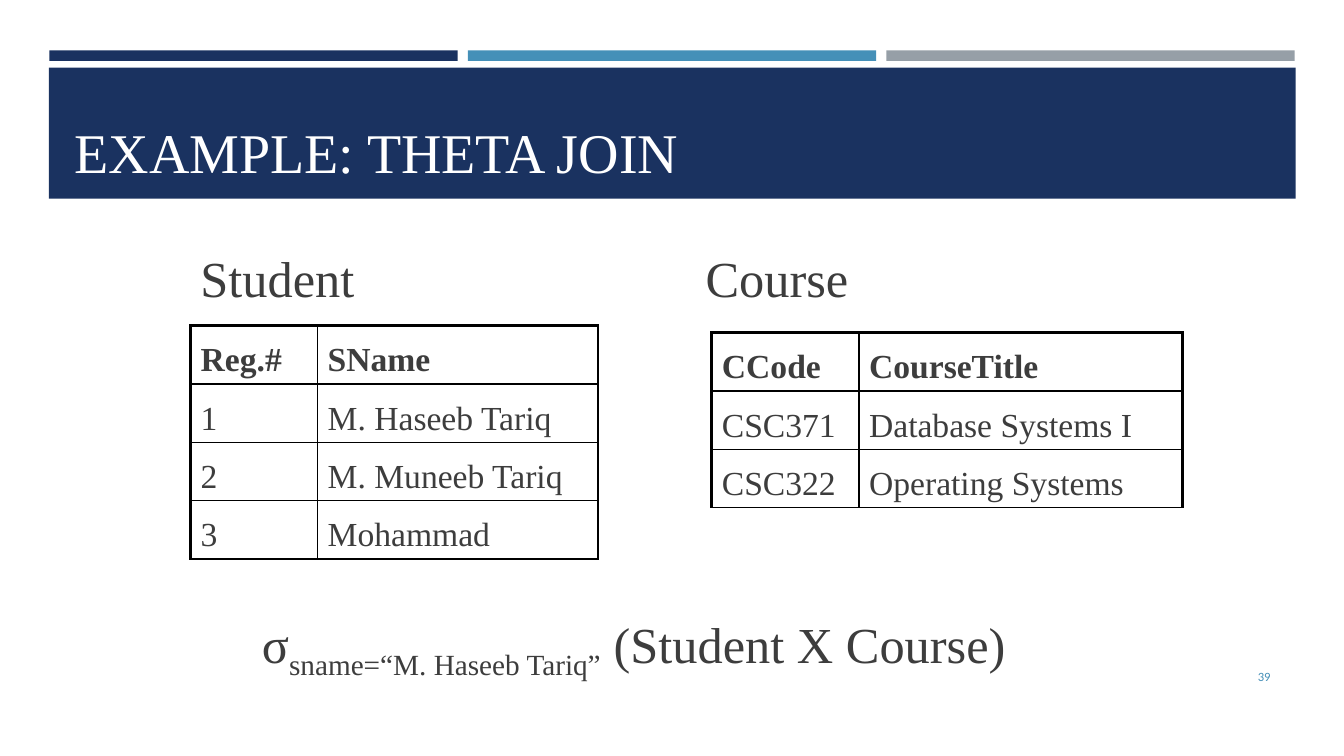
"""Build the theta join example slide."""
from dataclasses import dataclass

from lxml.etree import SubElement
from pptx import Presentation
from pptx.dml.color import RGBColor
from pptx.enum.shapes import MSO_SHAPE as Shape
from pptx.enum.text import MSO_ANCHOR as Anchor
from pptx.enum.text import MSO_AUTO_SIZE as AutoSize
from pptx.enum.text import PP_ALIGN as Align
from pptx.oxml.ns import qn
from pptx.slide import Slide
from pptx.table import _Cell as Cell
from pptx.text.text import TextFrame, _Paragraph as Paragraph
from pptx.util import Inches, Pt

NAVY = RGBColor(0x1A, 0x32, 0x60)
BLUE = RGBColor(0x45, 0x90, 0xB8)
GREY = RGBColor(0x96, 0x9F, 0xA7)
INK = RGBColor(0x3D, 0x3D, 0x3D)
BLACK = RGBColor(0, 0, 0)
WHITE = RGBColor(0xFF, 0xFF, 0xFF)
SERIF = "Times New Roman"
SANS = "Calibri"
UNIT = Inches(0.1)
THIN, THICK = 1, 2.25
ROW_HEIGHT = 5.7


@dataclass(frozen=True)
class Area:
    """A rectangle in grid columns and rows."""
    column: float
    row: float
    columns: float
    rows: float

    def lengths(self) -> list[int]:
        """Return left, top, width and height."""
        return [round(UNIT * part) for part in (self.column, self.row, self.columns, self.rows)]


@dataclass(frozen=True)
class Span:
    """A stretch of text in one format."""
    text: str
    size: float = 36
    color: RGBColor = INK
    font: str = SERIF
    bold: bool = False
    baseline: int = 0


@dataclass(frozen=True)
class Bar:
    """A filled rectangle."""
    area: Area
    color: RGBColor


@dataclass(frozen=True)
class Label:
    """A text box with one paragraph."""
    area: Area
    spans: tuple[Span, ...]
    align: Align = Align.LEFT
    anchor: Anchor = Anchor.TOP


@dataclass(frozen=True)
class Relation:
    """A database relation shown as a table."""
    column: float
    row: float
    widths: tuple[float, ...]
    records: tuple[tuple[str, ...], ...]


BARS = [Bar(Area(4.9 + 41.5 * index, 5, 40.5, 1.05), color)
        for index, color in enumerate((NAVY, BLUE, GREY))]
BARS.append(Bar(Area(4.85, 6.7, 123.65, 13), NAVY))

RELATIONS = (
    Relation(70.6, 33, (14.6, 32.1), (
        ("CCode", "CourseTitle"),
        ("CSC371", "Database Systems I"),
        ("CSC322", "Operating Systems"))),
    Relation(18.9, 32.3, (12.6, 27.8), (
        ("Reg.#", "SName"),
        ("1", "M. Haseeb Tariq"),
        ("2", "M. Muneeb Tariq"),
        ("3", "Mohammad"))),
)

LABELS = (
    Label(Area(18.9, 24, 22.7, 7.1), (Span("Student"),)),
    Label(Area(69, 24, 22.7, 7.1), (Span("Course"),)),
    Label(Area(25, 60.3, 88, 7.1), (
        Span("σ"),
        Span("sname=“M. Haseeb Tariq”", baseline=-25000),
        Span(" (Student X Course)"))),
    Label(Area(115.5, 65.1, 11.5, 4), (Span("39", 9, BLUE, SANS),), Align.RIGHT, Anchor.MIDDLE),
)


def add_span(para: Paragraph, span: Span) -> None:
    """Append one formatted run."""
    run = para.add_run()
    run.text = span.text
    run.font.size = Pt(span.size)
    run.font.name = span.font
    run.font.bold = span.bold
    run.font.color.rgb = span.color
    if span.baseline:
        run.font._element.set("baseline", str(span.baseline))


def set_frame(frame: TextFrame, anchor: Anchor) -> None:
    """Wrap the text and fix its size and anchor."""
    frame.word_wrap = True
    frame.auto_size = AutoSize.NONE
    frame.vertical_anchor = anchor


def add_bar(page: Slide, bar: Bar) -> None:
    """Draw a plain rectangle."""
    box = page.shapes.add_shape(Shape.RECTANGLE, *bar.area.lengths())
    box.shadow.inherit = False
    box.fill.solid()
    box.fill.fore_color.rgb = bar.color
    box.line.fill.background()


def add_title(page: Slide) -> None:
    """Place the title in front of its band."""
    title = page.shapes.title
    title.left, title.top, title.width, title.height = Area(6.4, 7.7, 120.6, 11.1).lengths()
    set_frame(title.text_frame, Anchor.BOTTOM)
    para = title.text_frame.paragraphs[0]
    para.alignment = Align.LEFT
    add_span(para, Span("EXAMPLE: THETA JOIN", 40, WHITE))
    title.element.getparent().append(title.element)


def add_label(page: Slide, label: Label) -> None:
    """Draw a text box."""
    box = page.shapes.add_textbox(*label.area.lengths())
    set_frame(box.text_frame, label.anchor)
    para = box.text_frame.paragraphs[0]
    para.alignment = label.align
    for span in label.spans:
        add_span(para, span)


def add_border(cell: Cell, side: str, width: float) -> None:
    """Give one side of a cell a black line."""
    line = SubElement(cell._tc.get_or_add_tcPr(), qn(f"a:ln{side}"), w=str(int(Pt(width))))
    fill = SubElement(line, qn("a:solidFill"))
    SubElement(fill, qn("a:srgbClr"), val=str(BLACK))


def add_relation(page: Slide, relation: Relation) -> None:
    """Draw a relation with thick left, right and top edges."""
    records, widths = relation.records, relation.widths
    area = Area(relation.column, relation.row, sum(widths), ROW_HEIGHT * len(records))
    table = page.shapes.add_table(len(records), len(widths), *area.lengths()).table
    table.first_row = table.horz_banding = False
    for column, width in zip(table.columns, widths):
        column.width = round(UNIT * width)
    for row_index, record in enumerate(records):
        table.rows[row_index].height = round(UNIT * ROW_HEIGHT)
        for index, text in enumerate(record):
            cell = table.cell(row_index, index)
            edges = {"L": index == 0, "R": index == len(widths) - 1, "T": row_index == 0, "B": False}
            for side, outer in edges.items():
                add_border(cell, side, THICK if outer else THIN)
            cell.fill.solid()
            cell.fill.fore_color.rgb = WHITE
            para = cell.text_frame.paragraphs[0]
            para.line_spacing = 1.3
            add_span(para, Span(text, 24, bold=row_index == 0))


def main() -> None:
    """Build and save the deck."""
    deck = Presentation()
    deck.slide_width, deck.slide_height = Inches(13.33), Inches(7.5)
    page = deck.slides.add_slide(deck.slide_layouts.get_by_name("Title Only"))
    for bar in BARS:
        add_bar(page, bar)
    add_title(page)
    for relation in RELATIONS:
        add_relation(page, relation)
    for label in LABELS:
        add_label(page, label)
    deck.save("out.pptx")


if __name__ == "__main__":
    main()
